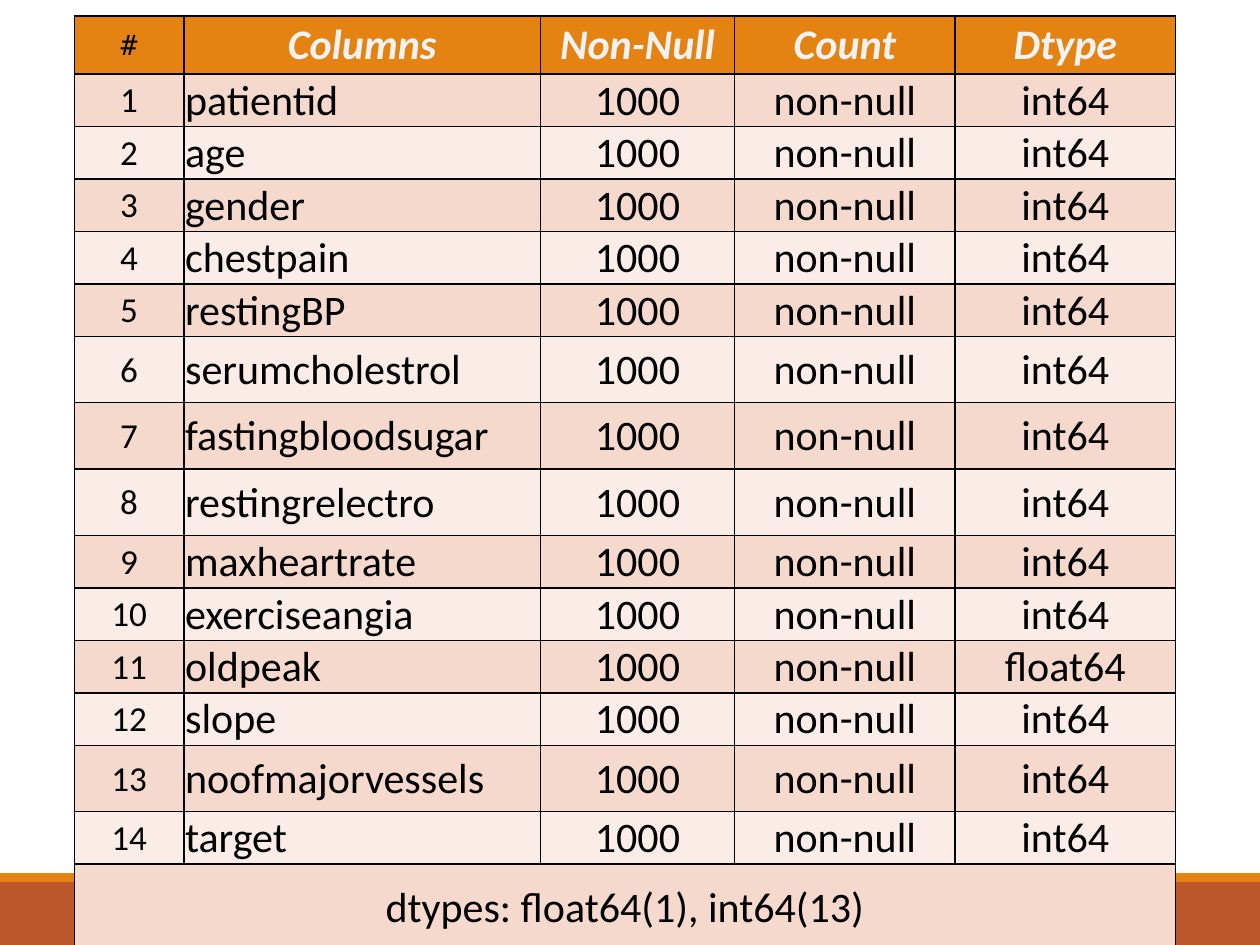
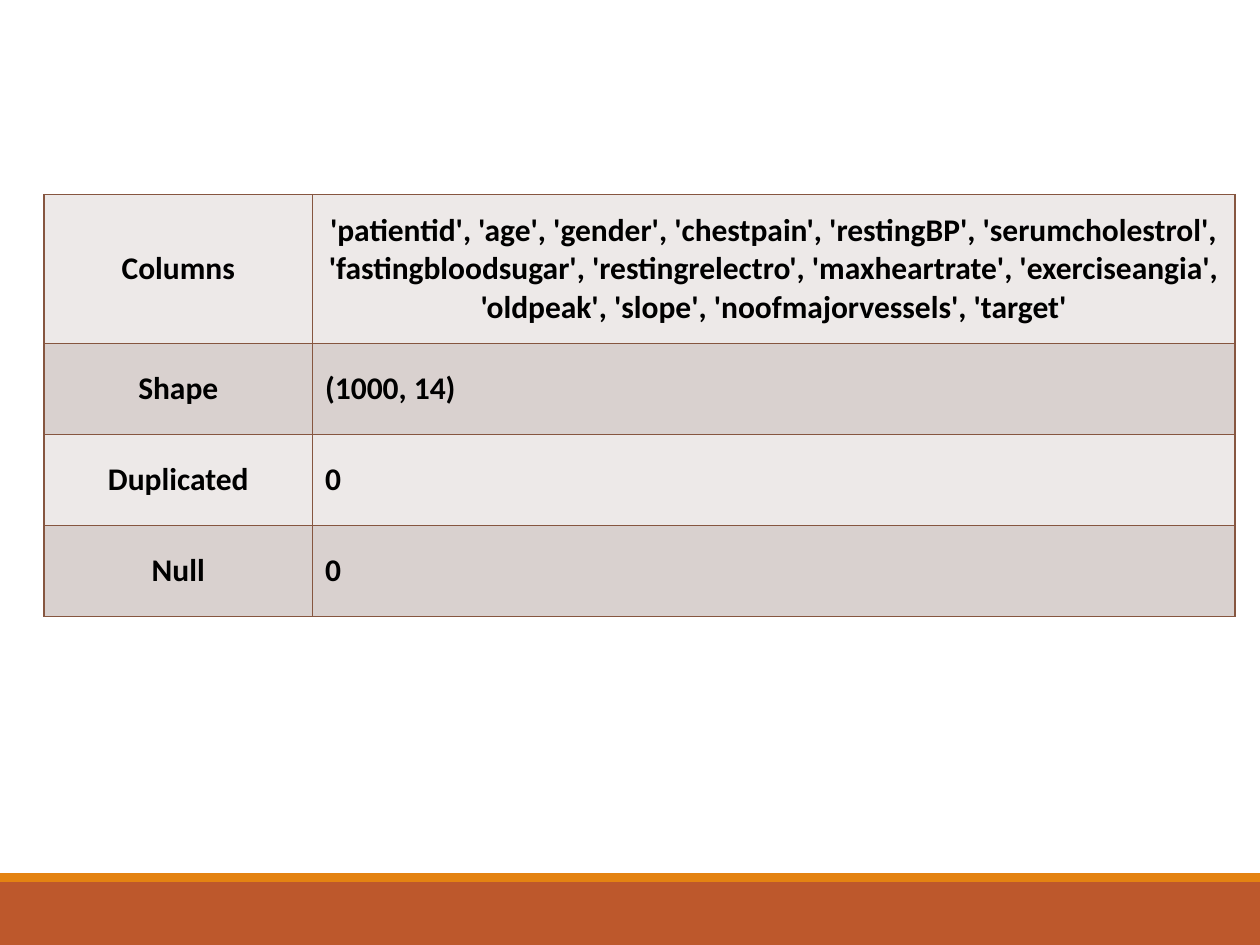
from pptx import Presentation
from pptx.dml.color import RGBColor
from pptx.enum.shapes import MSO_SHAPE as Shape
from pptx.enum.text import MSO_ANCHOR as Anchor, PP_ALIGN as Align
from pptx.oxml import parse_xml
from pptx.oxml.ns import nsdecls
from pptx.util import Pt

ORANGE = "E48312"
RUST = "BD582C"
BLACK = "000000"
INSETS = (7.2, 3.6, 7.2, 3.6)


def write_cell(cell, text, fill, border, size=24, color=BLACK, font="Calibri",
               bold=False, italic=False, align=Align.CENTER, insets=INSETS):
    cell.fill.solid()
    cell.fill.fore_color.rgb = RGBColor.from_string(fill)
    properties = cell._tc.get_or_add_tcPr()
    for index, side in enumerate("LRTB"):
        properties.insert(index, parse_xml(
            f'<a:ln{side} {nsdecls("a")} w="12700"><a:solidFill>'
            f'<a:srgbClr val="{border}"/></a:solidFill></a:ln{side}>'))
    cell.vertical_anchor = Anchor.MIDDLE
    (cell.margin_left, cell.margin_top,
     cell.margin_right, cell.margin_bottom) = map(Pt, insets)
    paragraph = cell.text_frame.paragraphs[0]
    paragraph.alignment = align
    run = paragraph.add_run()
    run.text = text
    run.font.name = font
    run.font.size = Pt(size)
    run.font.bold = bold
    run.font.italic = italic
    run.font.color.rgb = RGBColor.from_string(color)


def add_grid(slide, left, top, widths, heights):
    frame = slide.shapes.add_table(len(heights), len(widths), Pt(left), Pt(top),
                                   Pt(sum(widths)), Pt(sum(heights)))
    table = frame.table
    for column, width in zip(table.columns, widths):
        column.width = Pt(width)
    for row, height in zip(table.rows, heights):
        row.height = Pt(height)
    return table


presentation = Presentation()
presentation.slide_width = Pt(720)
presentation.slide_height = Pt(540)
blank_layout = presentation.slide_layouts[6]
schema_slide = presentation.slides.add_slide(blank_layout)
summary_slide = presentation.slides.add_slide(blank_layout)

master_tree = presentation.slide_master.element.cSld.spTree
for index, (top, height, color) in enumerate([(504, 36, RUST), (499, 5, ORANGE)]):
    band = schema_slide.shapes.add_shape(Shape.RECTANGLE, 0, Pt(top), Pt(720), Pt(height))
    band.shadow.inherit = False
    band.fill.solid()
    band.fill.fore_color.rgb = RGBColor.from_string(color)
    band.line.fill.background()
    band.element.nvSpPr.cNvPr.set("id", str(100 + index))
    master_tree.insert(2 + index, band.element)

column_names = [
    "patientid", "age", "gender", "chestpain", "restingBP", "serumcholestrol",
    "fastingbloodsugar", "restingrelectro", "maxheartrate", "exerciseangia",
    "oldpeak", "slope", "noofmajorvessels", "target"]
tall_rows = {"serumcholestrol", "fastingbloodsugar", "restingrelectro", "noofmajorvessels"}
schema_heights = [33.1] + [37.9 if name in tall_rows else 29.8 for name in column_names] + [49.7]
schema_fills = ["FAEDE7", "F5D9CC"]
tight = (0.7, 0.7, 0.7, 0)

schema = add_grid(schema_slide, 42.5, 9.2, [62.6, 203.8, 110.9, 126, 126], schema_heights)
write_cell(schema.cell(0, 0), "#", ORANGE, BLACK, size=16, font="DejaVu Sans Mono", insets=tight)
for column, heading in enumerate(["Columns", "Non-Null", "Count", "Dtype"], start=1):
    write_cell(schema.cell(0, column), heading, ORANGE, BLACK, color="F2F2F2",
               bold=True, italic=True, insets=tight)
for row, name in enumerate(column_names, start=1):
    dtype = "float64" if name == "oldpeak" else "int64"
    for column, text in enumerate([str(row), name, "1000", "non-null", dtype]):
        write_cell(schema.cell(row, column), text, schema_fills[row % 2], BLACK,
                   size=20 if column == 0 else 24,
                   align=Align.LEFT if column == 1 else Align.CENTER, insets=tight)
last_row = len(column_names) + 1
schema.cell(last_row, 0).merge(schema.cell(last_row, 4))
write_cell(schema.cell(last_row, 0), "dtypes: float64(1), int64(13)",
           schema_fills[1], BLACK, insets=tight)

summary_rows = [
    ("Columns", ", ".join(f"'{name}'" for name in column_names)),
    ("Shape", "(1000, 14)"),
    ("Duplicated", "0"),
    ("Null", "0")]
summary_fills = ["EDE9E8", "D9D1CF"]

summary = add_grid(summary_slide, 25.2, 111.2, [153.4, 527.2], [85, 52, 52, 52])
for row, texts in enumerate(summary_rows):
    for column, text in enumerate(texts):
        centred = column == 0 or row == 0
        write_cell(summary.cell(row, column), text, summary_fills[row % 2], "865640",
                   size=18, bold=True, align=Align.CENTER if centred else Align.LEFT)

presentation.save("out.pptx")
